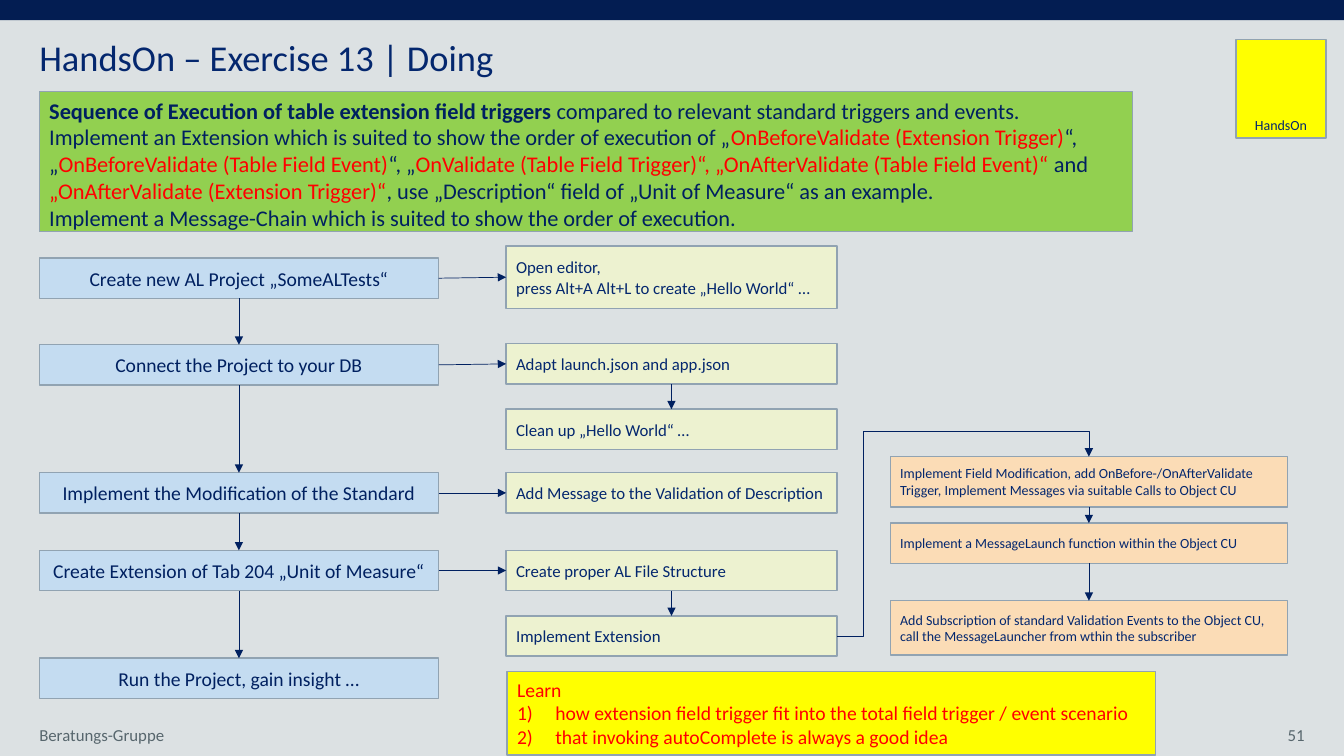
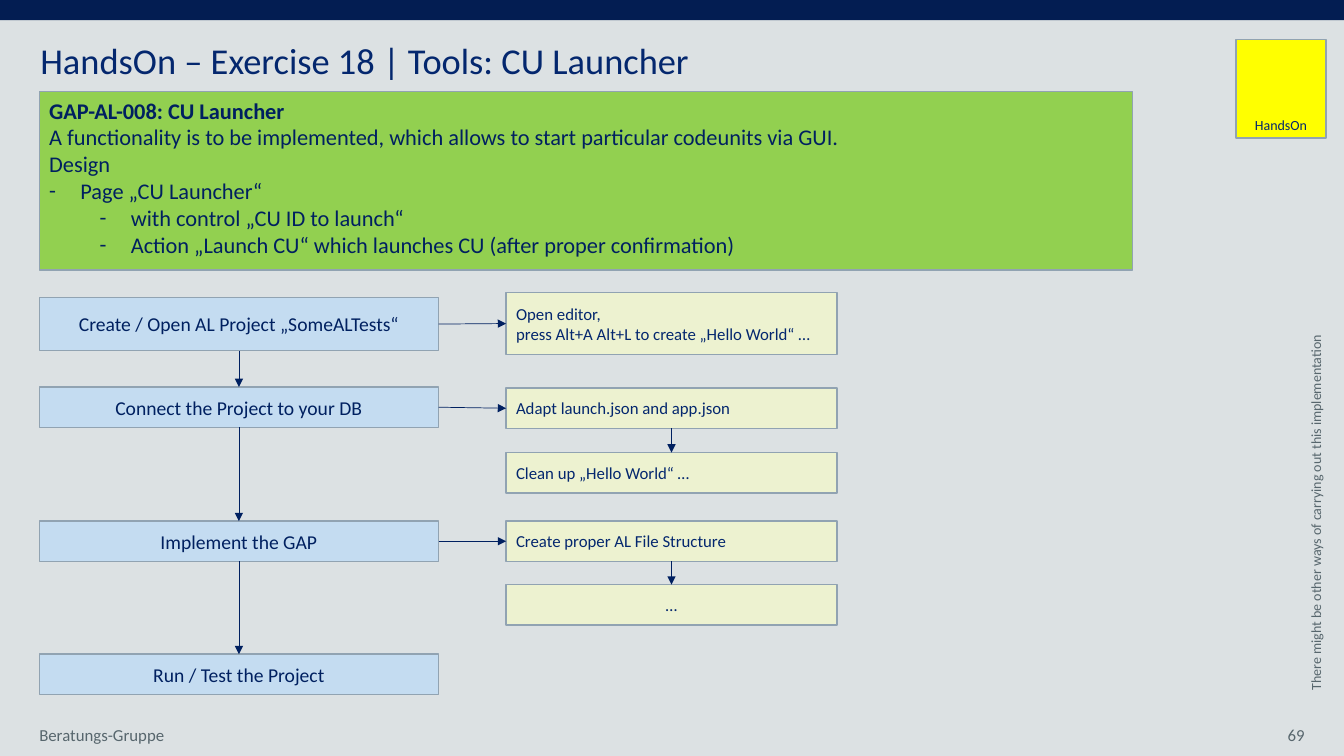
from lxml.etree import SubElement
from pptx import Presentation
from pptx.dml.color import RGBColor
from pptx.enum.shapes import MSO_CONNECTOR, MSO_SHAPE
from pptx.enum.text import MSO_ANCHOR, MSO_AUTO_SIZE, PP_ALIGN
from pptx.oxml.ns import qn
from pptx.util import Inches, Pt

FONT = "Calibri"
COLOURS = {
    "background": "DCE1E3", "bar": "031D52", "ink": "04276E", "navy": "002060",
    "grey": "57666D", "border": "91A3B2", "yellow": "FFFF00", "green": "92D050",
    "blue": "C4DCF1", "lime": "EDF2D0", "peach": "FBDCB6", "red": "FF0000",
}
FOOTER = "Beratungs-Gruppe"

# Flow chart columns: left, width, fill, text size, text colour, alignment
COLUMNS = {
    "step": (0.39, 3.96, "blue", 14, "navy", PP_ALIGN.CENTER),
    "detail": (5.02, 3.28, "lime", 12, "ink", PP_ALIGN.LEFT),
    "code": (8.83, 3.94, "peach", 10, "ink", PP_ALIGN.LEFT),
}
HELLO = "Open editor,\npress Alt+A Alt+L to create „Hello World“ …"
CONNECT = "Connect the Project to your DB"
ADAPT = "Adapt launch.json and app.json"
CLEAN = "Clean up „Hello World“ …"
STRUCTURE = "Create proper AL File Structure"

# Bullets: kind, text margin, hanging indent, level
NUMBER = ("number", 0.38, 0.38, 0)
DASH = ("dash", 0.31, 0.31, 0)
SUBDASH = ("dash", 0.81, 0.31, 1)

# Task paragraphs: bullet, spans of (text, style)
# Boxes: name -> (column, top, height, text); links: pairs of names
SLIDES = [
    {
        "title": "HandsOn – Exercise 13 | Doing",
        "title_at": (0.39, 0.4),
        "number": "51",
        "task_height": 1.39,
        "task": [
            (None, [
                ("Sequence of Execution of table extension field triggers ", "bold"),
                ("compared to relevant standard triggers and events. Implement an Extension "
                 "which is suited to show the order of execution of „", ""),
                ("OnBeforeValidate (Extension Trigger)", "red"),
                ("“, „", ""),
                ("OnBeforeValidate (Table Field Event)", "red"),
                ("“, „", ""),
                ("OnValidate (Table Field Trigger)“, „OnAfterValidate (Table Field Event)“ ", "red"),
                ("and ", ""),
                ("„OnAfterValidate (Extension Trigger)“", "red"),
                (", use „Description“ field of „Unit of Measure“ as an example.", ""),
            ]),
            (None, [("Implement a Message-Chain which is suited to show the order of execution.", "")]),
        ],
        "boxes": {
            "create": ("step", 2.56, 0.4, "Create new AL Project „SomeALTests“"),
            "connect": ("step", 3.42, 0.4, CONNECT),
            "modify": ("step", 4.69, 0.4, "Implement the Modification of the Standard"),
            "extend": ("step", 5.46, 0.4, "Create Extension of Tab 204 „Unit of Measure“"),
            "run": ("step", 6.53, 0.4, "Run the Project, gain insight …"),
            "hello": ("detail", 2.44, 0.62, HELLO),
            "adapt": ("detail", 3.41, 0.4, ADAPT),
            "clean": ("detail", 4.06, 0.4, CLEAN),
            "message": ("detail", 4.69, 0.4, "Add Message to the Validation of Description"),
            "structure": ("detail", 5.46, 0.4, STRUCTURE),
            "extension": ("detail", 6.11, 0.4, "Implement Extension"),
            "field": ("code", 4.53, 0.5, "Implement Field Modification, add OnBefore-/OnAfterValidate "
                      "Trigger, Implement Messages via suitable Calls to Object CU"),
            "launch": ("code", 5.19, 0.4, "Implement a MessageLaunch function within the Object CU"),
            "subscribe": ("code", 5.96, 0.54,
                          "Add Subscription of standard Validation Events to the Object CU,\n"
                          "call the MessageLauncher from wthin the subscriber"),
        },
        "links": [
            ("create", "connect"), ("connect", "modify"), ("modify", "extend"), ("extend", "run"),
            ("create", "hello"), ("connect", "adapt"), ("modify", "message"),
            ("extend", "structure"), ("adapt", "clean"), ("structure", "extension"),
            ("field", "launch"), ("launch", "subscribe"),
        ],
        "bent_link": ("extension", "field"),
        "learn": [
            (None, [("Learn", "")]),
            (NUMBER, [("how extension field trigger fit into the total field trigger / event scenario", "")]),
            (NUMBER, [("that invoking autoComplete is always a good idea", "")]),
        ],
    },
    {
        "title": "HandsOn – Exercise 18 | Tools: CU Launcher",
        "title_at": (0.4, 0.43),
        "number": "69",
        "task_height": 1.77,
        "task": [
            (None, [("GAP-AL-008: CU Launcher", "bold")]),
            (None, [("A functionality is to be implemented, which allows to start "
                     "particular codeunits via GUI.", "")]),
            (None, [("Design", "")]),
            (DASH, [("Page „CU Launcher“", "")]),
            (SUBDASH, [("with control „CU ID to launch“", "")]),
            (SUBDASH, [("Action „Launch CU“ which launches CU (after proper confirmation)", "")]),
        ],
        "boxes": {
            "create": ("step", 2.95, 0.53, "Create / Open AL Project „SomeALTests“"),
            "connect": ("step", 3.84, 0.4, CONNECT),
            "implement": ("step", 5.17, 0.4, "Implement the GAP"),
            "run": ("step", 6.49, 0.4, "Run / Test the Project"),
            "hello": ("detail", 2.9, 0.62, HELLO),
            "adapt": ("detail", 3.85, 0.4, ADAPT),
            "clean": ("detail", 4.49, 0.4, CLEAN),
            "structure": ("detail", 5.17, 0.4, STRUCTURE),
            "more": ("detail", 5.8, 0.4, "…"),
        },
        "links": [
            ("create", "connect"), ("connect", "implement"), ("implement", "run"),
            ("create", "hello"), ("connect", "adapt"), ("implement", "structure"),
            ("adapt", "clean"), ("structure", "more"),
        ],
        "side_note": "There might be other ways of carrying out this implementation",
    },
]
TOP, LEFT, BOTTOM, RIGHT = range(4)  # connection sites of a rectangle


def colour(name):
    return RGBColor.from_string(COLOURS[name])


def plain(text):
    return [(None, [(line, "")]) for line in text.split("\n")]


def add_bullet(para, bullet):
    kind, margin, hanging, level = bullet
    para.level = level
    properties = para._p.get_or_add_pPr()
    properties.set("marL", str(Inches(margin)))
    properties.set("indent", str(-Inches(hanging)))
    if kind == "number":
        SubElement(properties, qn("a:buFont"), typeface="+mj-lt")
        SubElement(properties, qn("a:buAutoNum"), type="arabicParenR")
    else:
        SubElement(properties, qn("a:buFont"), typeface=FONT)
        SubElement(properties, qn("a:buChar"), char="-")


def write(frame, paragraphs, size, ink, align=PP_ALIGN.LEFT, anchor=MSO_ANCHOR.MIDDLE):
    frame.word_wrap = True
    frame.vertical_anchor = anchor
    for index, (bullet, spans) in enumerate(paragraphs):
        para = frame.paragraphs[0] if index == 0 else frame.add_paragraph()
        para.alignment = align
        if bullet:
            add_bullet(para, bullet)
        para.font.name = FONT
        para.font.size = Pt(size)
        para.font.color.rgb = colour(ink)
        for text, style in spans:
            span = para.add_run()
            span.text = text
            if style == "bold":
                span.font.bold = True
            elif style:
                span.font.color.rgb = colour(style)


def add_box(page, at, fill, border="border"):
    box = page.shapes.add_shape(MSO_SHAPE.RECTANGLE, *map(Inches, at))
    box.shadow.inherit = False
    box.fill.solid()
    box.fill.fore_color.rgb = colour(fill)
    if border:
        box.line.color.rgb = colour(border)
        box.line.width = Pt(1)
    else:
        box.line.fill.background()
    return box


def add_label(page, at, text, size, ink, align=PP_ALIGN.LEFT, anchor=MSO_ANCHOR.MIDDLE):
    frame = page.shapes.add_textbox(*map(Inches, at)).text_frame
    frame.margin_left = frame.margin_right = frame.margin_top = frame.margin_bottom = 0
    write(frame, plain(text), size, ink, align, anchor)
    return frame


def add_arrow(page, start, start_site, end, end_site, kind=MSO_CONNECTOR.STRAIGHT):
    arrow = page.shapes.add_connector(kind, 0, 0, 0, 0)
    arrow.begin_connect(start, start_site)
    arrow.end_connect(end, end_site)
    arrow.line.color.rgb = colour("navy")
    arrow.line.width = Pt(0.5)
    SubElement(arrow.line._get_or_add_ln(), qn("a:tailEnd"), type="triangle")
    SubElement(arrow._element.spPr, qn("a:effectLst"))
    return arrow


def add_bent_arrow(page, start, end):
    arrow = add_arrow(page, start, RIGHT, end, TOP, MSO_CONNECTOR.ELBOW)
    geometry = arrow._element.spPr.find(qn("a:prstGeom"))
    geometry.set("prst", "bentConnector4")
    guides = geometry.find(qn("a:avLst"))
    if guides is None:
        guides = SubElement(geometry, qn("a:avLst"))
    for name, value in (("adj1", 10700), ("adj2", 114100)):
        SubElement(guides, qn("a:gd"), name=name, fmla=f"val {value}")


def add_frame(page, content):
    """Top bar, title, footer and badge, the same on every slide."""
    add_box(page, (0, 0, 13.33, 0.2), "bar", None)
    title = add_label(page, (*content["title_at"], 11.6, 0.79), content["title"], 26, "ink",
                      anchor=MSO_ANCHOR.TOP)
    title.paragraphs[0].line_spacing = 0.9
    add_label(page, (0.39, 7.09, 3, 0.4), FOOTER, 12, "grey")
    add_label(page, (10.18, 7.09, 2.76, 0.4), content["number"], 12, "grey", PP_ALIGN.RIGHT)
    badge = add_box(page, (12.26, 0.39, 0.89, 0.98), "yellow")
    write(badge.text_frame, plain("HandsOn"), 10, "ink", PP_ALIGN.CENTER, MSO_ANCHOR.BOTTOM)


def add_flow(page, content):
    boxes = {}
    for name, (column, top, height, text) in content["boxes"].items():
        left, width, fill, size, ink, align = COLUMNS[column]
        boxes[name] = add_box(page, (left, top, width, height), fill)
        if text == "…":
            align = PP_ALIGN.CENTER
        write(boxes[name].text_frame, plain(text), size, ink, align)
    for start, end in content["links"]:
        same_column = content["boxes"][start][0] == content["boxes"][end][0]
        sites = (BOTTOM, TOP) if same_column else (RIGHT, LEFT)
        add_arrow(page, boxes[start], sites[0], boxes[end], sites[1])
    if "bent_link" in content:
        add_bent_arrow(page, *(boxes[name] for name in content["bent_link"]))


def add_side_note(page, text):
    note = page.shapes.add_textbox(*map(Inches, (11.16, 4.92, 3.78, 0.27)))
    note.rotation = 270
    write(note.text_frame, plain(text), 10, "grey", anchor=MSO_ANCHOR.TOP)
    note.text_frame.word_wrap = False
    note.text_frame.auto_size = MSO_AUTO_SIZE.SHAPE_TO_FIT_TEXT


def main():
    deck = Presentation()
    deck.slide_width, deck.slide_height = Inches(13.33), Inches(7.5)
    backdrop = deck.slide_master.background.fill
    backdrop.solid()
    backdrop.fore_color.rgb = colour("background")
    for content in SLIDES:
        page = deck.slides.add_slide(deck.slide_layouts[6])
        add_frame(page, content)
        task = add_box(page, (0.39, 0.91, 10.84, content["task_height"]), "green")
        write(task.text_frame, content["task"], 16, "navy", anchor=MSO_ANCHOR.TOP)
        add_flow(page, content)
        if "learn" in content:
            learn = add_box(page, (5.03, 6.66, 6.43, 0.83), "yellow")
            write(learn.text_frame, content["learn"], 14, "red")
        if "side_note" in content:
            add_side_note(page, content["side_note"])
    deck.save("out.pptx")


if __name__ == "__main__":
    main()
